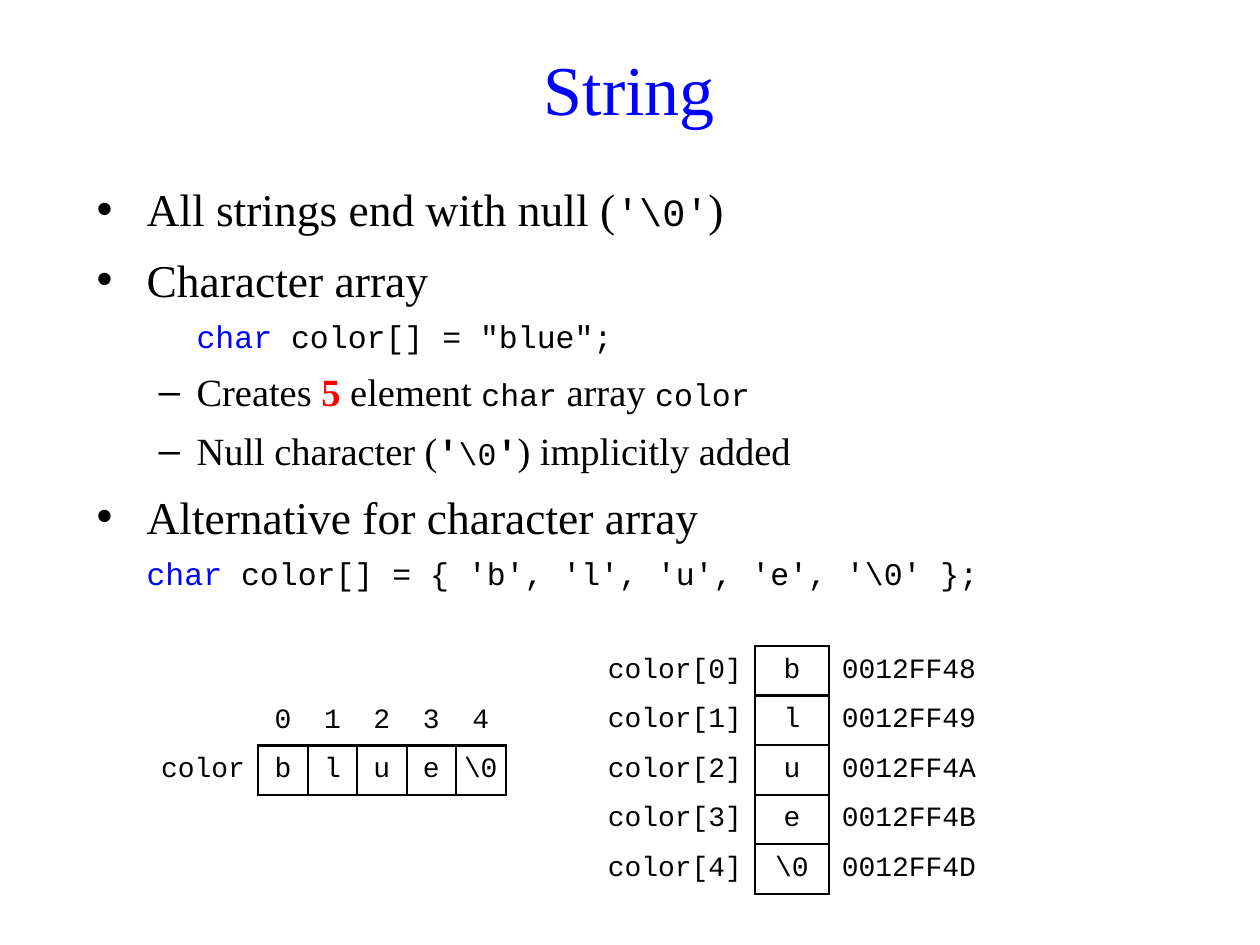
"""Build a slide about null-terminated strings and their layout in memory."""
from dataclasses import dataclass

from lxml import etree
from pptx import Presentation
from pptx import util as u
from pptx.dml.color import RGBColor
from pptx.enum import text
from pptx.oxml import ns

PX = u.Inches(1) / 126
SERIF, MONO = "Times New Roman", "Courier New"
BLACK = RGBColor(0, 0, 0)
BLUE = RGBColor(0, 0, 255)
RED = RGBColor(255, 0, 0)
LEFT, CENTER, RIGHT = text.PP_ALIGN.LEFT, text.PP_ALIGN.CENTER, text.PP_ALIGN.RIGHT
SIDES = {"lnL": (0, -1), "lnR": (0, 1), "lnT": (-1, 0), "lnB": (1, 0)}


@dataclass(frozen=True)
class Run:
    text: str
    size: int
    font: str = SERIF
    color: RGBColor = BLACK
    bold: bool = False


@dataclass(frozen=True)
class Line:
    runs: tuple[Run, ...]
    margin: int
    hanging: int = 0
    bullet: str = ""
    level: int = 0
    before: float = 0


@dataclass(frozen=True)
class Cell:
    text: str
    align: text.PP_ALIGN
    boxed: bool = False


@dataclass(frozen=True)
class Grid:
    left: int
    top: int
    height: int
    widths: tuple[int, ...]
    rows: list[list[Cell]]
    inner_line: float
    inset_y: int
    box_inset_x: int


def px(length: int) -> u.Emu:
    """Turn pixels into EMU."""
    return u.Emu(round(length * PX))


def code(words: str, size: int = 18, color: RGBColor = BLACK, bold: bool = False) -> Run:
    """Return a monospaced run."""
    return Run(words, size, MONO, color, bold)


def point(*runs: Run, before: float = 9) -> Line:
    """Return a top-level bullet line."""
    return Line(runs, 50, 50, "•", 0, before)


def subpoint(*runs: Run) -> Line:
    """Return a second-level dash line."""
    return Line(runs, 100, 38, "–", 1, 7.5)


def place(shape, left: int, top: int, width: int, height: int) -> None:
    """Move and size a shape."""
    shape.left, shape.top, shape.width, shape.height = map(px, (left, top, width, height))


def add_run(paragraph, run: Run) -> None:
    """Append one formatted run."""
    added = paragraph.add_run()
    added.text = run.text
    added.font.name = run.font
    added.font.size = u.Pt(run.size)
    added.font.bold = run.bold
    added.font.color.rgb = run.color


def fill_body(frame, lines: list[Line]) -> None:
    """Write the lines into a text frame."""
    frame.word_wrap = True
    frame.auto_size = text.MSO_AUTO_SIZE.NONE
    for index, line in enumerate(lines):
        paragraph = frame.add_paragraph() if index else frame.paragraphs[0]
        paragraph.level = line.level
        properties = paragraph._p.get_or_add_pPr()
        properties.set("marL", str(px(line.margin)))
        properties.set("indent", str(px(-line.hanging)))
        if line.bullet:
            etree.SubElement(properties, ns.qn("a:buChar")).set("char", line.bullet)
        else:
            etree.SubElement(properties, ns.qn("a:buNone"))
        paragraph.space_before = u.Pt(line.before)
        for run in line.runs:
            add_run(paragraph, run)


def border(tag: str, width: float) -> etree._Element:
    """Return a cell border, invisible when its width is zero."""
    line = etree.Element(ns.qn(f"a:{tag}"))
    if not width:
        etree.SubElement(line, ns.qn("a:noFill"))
        return line
    line.set("w", str(u.Pt(width)))
    fill = etree.SubElement(line, ns.qn("a:solidFill"))
    etree.SubElement(fill, ns.qn("a:srgbClr")).set("val", str(BLACK))
    return line


def is_boxed(grid: Grid, row: int, column: int) -> bool:
    """Tell whether a boxed cell stands at this place."""
    inside = 0 <= row < len(grid.rows) and 0 <= column < len(grid.widths)
    return inside and grid.rows[row][column].boxed


def side_width(grid: Grid, row: int, column: int, step: tuple[int, int]) -> float:
    """Return the line width between a cell and its neighbour."""
    pair = (is_boxed(grid, row, column), is_boxed(grid, row + step[0], column + step[1]))
    if all(pair):
        return grid.inner_line
    return 1.5 if any(pair) else 0


def draw_grid(slide, grid: Grid) -> None:
    """Draw a memory table."""
    table = slide.shapes.add_table(
        len(grid.rows), len(grid.widths), px(grid.left), px(grid.top),
        px(sum(grid.widths)), px(grid.height)).table
    table.first_row = table.horz_banding = False
    for column, width in zip(table.columns, grid.widths):
        column.width = px(width)
    for row, cells in enumerate(grid.rows):
        for column, content in enumerate(cells):
            cell = table.cell(row, column)
            cell.fill.background()
            cell.vertical_anchor = text.MSO_ANCHOR.MIDDLE
            cell.margin_left = cell.margin_right = px(grid.box_inset_x if content.boxed else 13)
            cell.margin_top = cell.margin_bottom = px(grid.inset_y)
            paragraph = cell.text_frame.paragraphs[0]
            paragraph.alignment = content.align
            if content.text:
                add_run(paragraph, code(content.text, 16))
            properties = cell._tc.get_or_add_tcPr()
            for order, (tag, step) in enumerate(SIDES.items()):
                properties.insert(order, border(tag, side_width(grid, row, column, step)))


def main() -> None:
    """Build and save the slide."""
    presentation = Presentation()
    presentation.slide_width, presentation.slide_height = px(1260), px(945)
    slide = presentation.slides.add_slide(presentation.slide_layouts[1])
    title, body = slide.placeholders
    place(title, 34, 26, 1191, 123)
    title.text_frame.vertical_anchor = text.MSO_ANCHOR.MIDDLE
    heading = title.text_frame.paragraphs[0]
    heading.alignment = CENTER
    add_run(heading, Run("String", 40, color=BLUE))

    place(body, 84, 175, 917, 446)
    keyword = code("char", color=BLUE)
    fill_body(body.text_frame, [
        point(Run("All strings end with null (", 26), code("'\\0'", 22), Run(")", 26), before=0),
        point(Run("Character array", 26)),
        Line((keyword, code(' color[] = "blue";')), 100, before=6),
        subpoint(Run("Creates ", 22), Run("5", 22, color=RED, bold=True), Run(" element ", 22),
                 code("char"), Run(" array ", 22), code("color")),
        subpoint(Run("Null character (", 22), code("'", 20, bold=True), code("\\0"),
                 code("'", 20, bold=True), Run(") implicitly added", 22)),
        point(Run("Alternative for character array", 26)),
        Line((keyword, code(" color[] = { 'b', 'l', 'u', 'e', '\\0' };")), 50, before=6),
    ])

    characters = ["b", "l", "u", "e", "\\0"]
    addresses = ["0012FF48", "0012FF49", "0012FF4A", "0012FF4B", "0012FF4D"]
    memory = [[Cell(f"color[{index}]", RIGHT), Cell(character, CENTER, True), Cell(address, LEFT)]
              for index, (character, address) in enumerate(zip(characters, addresses))]
    draw_grid(slide, Grid(581, 646, 248, (174, 74, 174), memory, 1.5, 5, 13))
    array = [
        [Cell("", RIGHT)] + [Cell(str(index), CENTER) for index in range(len(characters))],
        [Cell("color", RIGHT)] + [Cell(character, CENTER, True) for character in characters],
    ]
    draw_grid(slide, Grid(134, 696, 99, (124, 50, 49, 50, 49, 50), array, 1, 0, 0))
    presentation.save("out.pptx")


if __name__ == "__main__":
    main()
